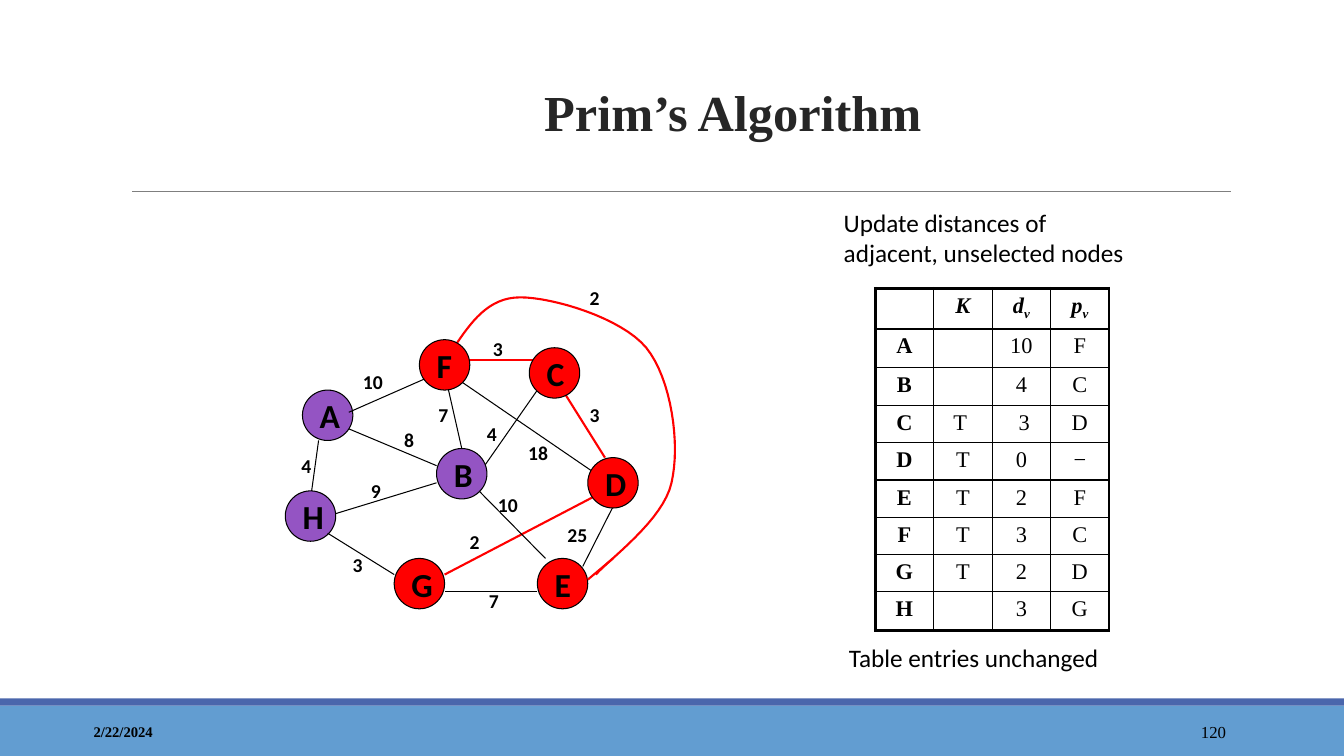
from lxml import etree
from pptx import Presentation
from pptx.dml.color import RGBColor
from pptx.enum.shapes import MSO_CONNECTOR, MSO_SHAPE
from pptx.enum.text import MSO_ANCHOR, PP_ALIGN
from pptx.oxml.ns import qn
from pptx.util import Inches, Pt

STRAIGHT = MSO_CONNECTOR.STRAIGHT
OVAL, RECTANGLE = MSO_SHAPE.OVAL, MSO_SHAPE.RECTANGLE
TOP, MIDDLE, BOTTOM = MSO_ANCHOR.TOP, MSO_ANCHOR.MIDDLE, MSO_ANCHOR.BOTTOM
LEFT, CENTER, RIGHT = PP_ALIGN.LEFT, PP_ALIGN.CENTER, PP_ALIGN.RIGHT

BLACK = RGBColor(0x00, 0x00, 0x00)
TITLE_GREY = RGBColor(0x26, 0x26, 0x26)
RULE_GREY = RGBColor(0x7F, 0x7F, 0x7F)
RED = RGBColor(0xFF, 0x00, 0x00)
PURPLE = RGBColor(0x94, 0x54, 0xC3)
FOOTER_BLUE = RGBColor(0x62, 0x9D, 0xD1)
STRIPE_BLUE = RGBColor(0x4A, 0x66, 0xAC)

SERIF = "Times New Roman"
SANS = "Calibri"
WIDTH, HEIGHT = 13.33, 7.5
NODE_SIZE = 0.5
THIN, THICK, TREE = 0.75, 2.25, 1.5

TITLE_FONT = {"name": SERIF, "size": Pt(36), "bold": True}
DATE_FONT = {"name": SERIF, "size": Pt(10.5), "bold": True}
NUMBER_FONT = {"name": SERIF, "size": Pt(12)}
NOTE_FONT = {"name": SANS, "size": Pt(18)}
NODE_FONT = {"name": SANS, "size": Pt(24), "bold": True}
WEIGHT_FONT = {"name": SANS, "size": Pt(14), "bold": True}
CELL_FONT = {"name": SERIF, "size": Pt(16)}

BANDS = [(7, 0.5, FOOTER_BLUE), (6.93, 0.07, STRIPE_BLUE)]
CAPTIONS = [
    ("Prim’s Algorithm", (1.77, 0.39, 11, 1.06), TITLE_FONT, TITLE_GREY, CENTER, BOTTOM),
    ("2/22/2024", (0.83, 7.06, 3, 0.4), DATE_FONT, BLACK, LEFT, MIDDLE),
    ("120", (10.83, 7.06, 1.43, 0.4), NUMBER_FONT, BLACK, RIGHT, MIDDLE),
    ("Update distances of adjacent, unselected nodes",
     (8.27, 2.01, 3.17, 0.77), NOTE_FONT, BLACK, LEFT, TOP),
    ("Table entries unchanged", (8.32, 6.32, 3.08, 0.43), NOTE_FONT, BLACK, LEFT, TOP),
]

NODES = {
    "A": (3, 3.87, PURPLE), "H": (2.83, 4.87, PURPLE),
    "B": (4.33, 4.45, PURPLE), "F": (4.16, 3.37, RED),
    "E": (5.33, 5.54, RED), "D": (5.83, 4.54, RED),
    "C": (5.25, 3.45, RED), "G": (3.91, 5.54, RED),
}
EDGES_BEHIND = [
    ((6.2, 4.79), (5.78, 5.62), BLACK), ((4.41, 3.7), (4.58, 4.45), BLACK),
    ((4.75, 4.7), (5.33, 3.87), BLACK), ((5.91, 4.7), (4.58, 3.79), BLACK),
    ((3.25, 5.12), (4.33, 4.79), BLACK), ((4.41, 5.7), (6, 4.87), RED),
    ((3.08, 4.95), (3.16, 4.37), BLACK), ((3.33, 4.2), (4.33, 4.62), BLACK),
    ((4.63, 3.57), (5.41, 3.57), RED), ((5.58, 3.87), (6, 4.54), RED),
]
EDGES_IN_FRONT = [
    ((4.75, 4.87), (5.41, 5.54), BLACK), ((5.33, 5.87), (4.41, 5.87), BLACK),
    ((3.91, 5.7), (3.25, 5.29), BLACK), ((3.46, 4.09), (4.21, 3.76), BLACK),
    ((6.08, 5.54), (5.83, 5.75), RED),
]
WEIGHTS = [
    ("4", 2.89, 4.45), ("25", 5.53, 5.14), ("7", 4.75, 5.79), ("2", 4.56, 5.21),
    ("10", 4.84, 4.84), ("18", 5.14, 4.33), ("3", 5.75, 3.95), ("4", 4.73, 4.14),
    ("3", 4.79, 3.29), ("7", 4.25, 3.95), ("8", 3.91, 4.2), ("9", 3.58, 4.7),
    ("3", 3.4, 5.44), ("10", 3.5, 3.62), ("2", 5.75, 2.79),
]
F_TO_E_START = (4.5, 3.45)
F_TO_E_BENDS = [
    ((4.67, 3.2), (4.84, 2.95), (5.16, 2.95)),
    ((5.48, 2.95), (6.16, 3.15), (6.41, 3.45)),
    ((6.66, 3.76), (6.75, 4.41), (6.66, 4.79)),
    ((6.58, 5.16), (6.04, 5.55), (5.91, 5.7)),
]
CURVE_STEPS = 16

HEADINGS = [("", ""), ("K", ""), ("d", "v"), ("p", "v")]
DISTANCES = [
    ("A", "", "10", "F"), ("B", "", "4", "C"), ("C", "T ", " 3", "D"),
    ("D", "T", "0", "−"), ("E", "T", "2", "F"), ("F", "T", "3", "C"),
    ("G", "T", "2", "D"), ("H", "", "3", "G"),
]
TABLE_LEFT, TABLE_TOP, COLUMN_WIDTH = 8.68, 2.86, 0.58
BLANK_ROW, FULL_ROW = 0.38, 0.37

deck = Presentation()
deck.slide_width, deck.slide_height = Inches(WIDTH), Inches(HEIGHT)
slide = deck.slides.add_slide(deck.slide_layouts[6])
shapes = slide.shapes


def inches(values):
    return [Inches(value) for value in values]


def add_run(paragraph, wording, font_values, colour=BLACK):
    run = paragraph.add_run()
    run.text = wording
    for key, value in font_values.items():
        setattr(run.font, key, value)
    run.font.color.rgb = colour
    return run


def write(frame, wording, font_values, colour=BLACK, align=LEFT, anchor=TOP):
    frame.word_wrap = True
    frame.vertical_anchor = anchor
    paragraph = frame.paragraphs[0]
    paragraph.alignment = align
    add_run(paragraph, wording, font_values, colour)
    return paragraph


def add_filled(preset, box, fill):
    shape = shapes.add_shape(preset, *inches(box))
    shape.shadow.inherit = False
    shape.fill.solid()
    shape.fill.fore_color.rgb = fill
    shape.line.fill.background()
    return shape


def stroke(shape, colour, width):
    shape.line.color.rgb = colour
    shape.line.width = Pt(width)


def add_edge(start, end, colour, width=None):
    edge = shapes.add_connector(STRAIGHT, *inches(start + end))
    stroke(edge, colour, width or (TREE if colour == RED else THIN))
    etree.SubElement(edge._element.spPr, qn("a:effectLst"))


def bezier(points, t):
    shares = ((1 - t) ** 3, 3 * t * (1 - t) ** 2, 3 * t * t * (1 - t), t ** 3)
    return tuple(Inches(sum(s * p[axis] for s, p in zip(shares, points))) for axis in (0, 1))


def add_curve(start, bends):
    trail, anchor = [], start
    for bend in bends:
        trail += [bezier((anchor, *bend), step / CURVE_STEPS) for step in range(1, CURVE_STEPS + 1)]
        anchor = bend[-1]
    builder = shapes.build_freeform(*inches(start), scale=1.0)
    builder.add_line_segments(trail, close=False)
    curve = builder.convert_to_shape()
    curve.shadow.inherit = False
    curve.fill.background()
    stroke(curve, RED, TREE)


def add_borders(cell, widths):
    properties = cell._tc.get_or_add_tcPr()
    for place, (side, width) in enumerate(widths.items()):
        border = etree.Element(qn(f"a:ln{side}"), w=str(Pt(width)))
        fill = etree.SubElement(border, qn("a:solidFill"))
        etree.SubElement(fill, qn("a:srgbClr"), val=str(BLACK))
        properties.insert(place, border)


def add_distance_table():
    rows = [HEADINGS] + [[(entry, "") for entry in row] for row in DISTANCES]
    heights = [BLANK_ROW if ("", "") in row else FULL_ROW for row in rows]
    last_row, last_column = len(rows) - 1, len(HEADINGS) - 1
    box = (TABLE_LEFT, TABLE_TOP, COLUMN_WIDTH * len(HEADINGS), sum(heights))
    table = shapes.add_table(len(rows), len(HEADINGS), *inches(box)).table
    table.first_row = table.horz_banding = False
    for column in table.columns:
        column.width = Inches(COLUMN_WIDTH)
    for r, row in enumerate(rows):
        table.rows[r].height = Inches(heights[r])
        for c, (entry, subscript) in enumerate(row):
            cell = table.cell(r, c)
            cell.fill.background()
            outer = {"L": c == 0, "R": c == last_column, "T": r == 0, "B": r == last_row}
            add_borders(cell, {side: THICK if edge else 1 for side, edge in outer.items()})
            if not entry:
                cell.margin_top = cell.margin_bottom = 0
                continue
            values = CELL_FONT | {"bold": r == 0 or c == 0, "italic": r == 0}
            paragraph = write(cell.text_frame, entry, values, align=CENTER)
            if subscript:
                lowered = add_run(paragraph, subscript, values)
                lowered.font._element.set("baseline", "-25000")


for top, height, colour in BANDS:
    add_filled(RECTANGLE, (0, top, WIDTH, height), colour)
add_edge((1.31, 1.9), (12.21, 1.9), RULE_GREY, THIN)
for wording, box, font_values, colour, align, anchor in CAPTIONS:
    caption = shapes.add_textbox(*inches(box)).text_frame
    paragraph = write(caption, wording, font_values, colour, align, anchor)
    if font_values is TITLE_FONT:
        paragraph.line_spacing = 1.1
add_distance_table()

add_curve(F_TO_E_START, F_TO_E_BENDS)
for edge in EDGES_BEHIND:
    add_edge(*edge)
for letter, (left, top, colour) in NODES.items():
    node = add_filled(OVAL, (left, top, NODE_SIZE, NODE_SIZE), colour)
    stroke(node, BLACK, THIN)
    write(node.text_frame, letter, NODE_FONT, anchor=MIDDLE)
for edge in EDGES_IN_FRONT:
    add_edge(*edge)
for weight, left, top in WEIGHTS:
    box = (left, top, 0.33 if len(weight) == 1 else 0.52, 0.33)
    write(shapes.add_textbox(*inches(box)).text_frame, weight, WEIGHT_FONT)

deck.save("out.pptx")
